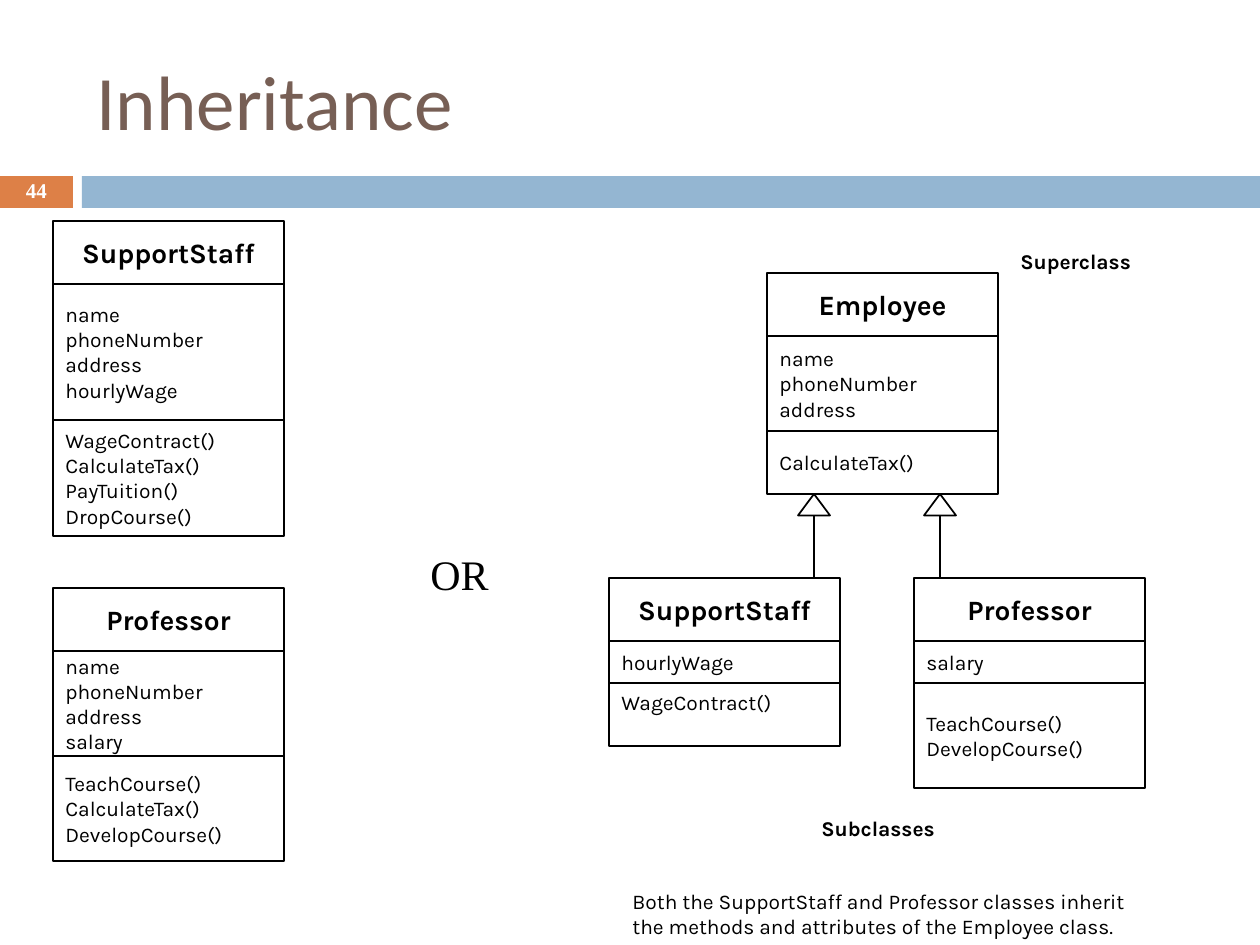
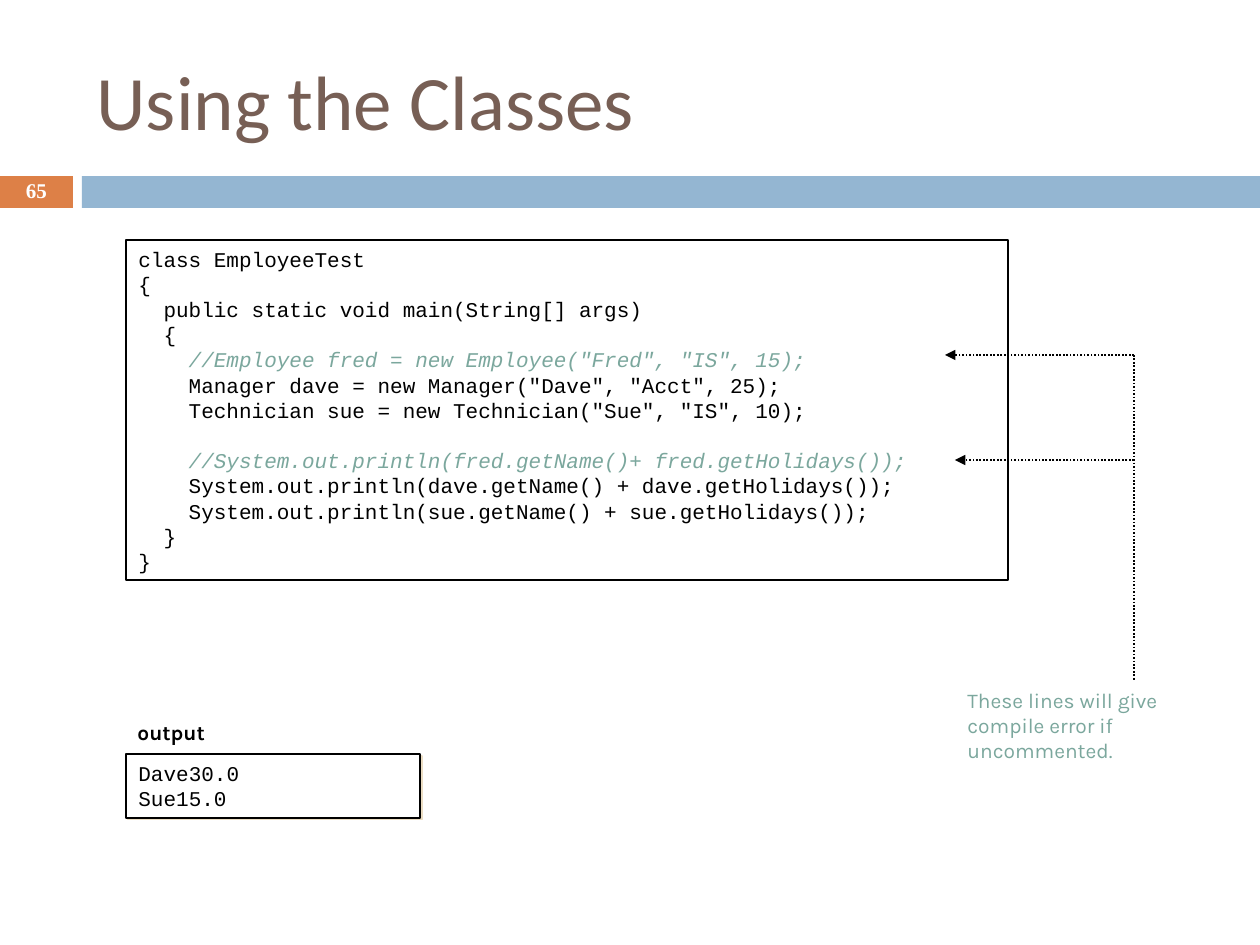
from lxml import etree
from pptx import Presentation
from pptx.dml.color import RGBColor
from pptx.enum.dml import MSO_LINE_DASH_STYLE as Dash
from pptx.enum.shapes import MSO_CONNECTOR as Connector, MSO_SHAPE as Preset
from pptx.enum.text import MSO_ANCHOR as Anchor, MSO_AUTO_SIZE as AutoSize, PP_ALIGN as Align
from pptx.oxml import parse_xml
from pptx.oxml.ns import nsdecls, qn
from pptx.util import Emu, Pt

PX_PER_INCH = 126
BLACK, WHITE = "000000", "FFFFFF"
BROWN, ORANGE, BLUE, GREEN, SAND = "775F55", "DD8047", "94B6D2", "7BA79D", "EBDDC3"
HEADING, BODY, CODE, SERIF = "Calibri", "Karla", "Courier New", "Times New Roman"
colour = RGBColor.from_string


def emu(*lengths):
    """Turn px lengths into EMU."""
    return [Emu(round(length * 914400 / PX_PER_INCH)) for length in lengths]


def add_box(page, place, text="", font=BODY, size=12, ink=BLACK, bold=False, align=Align.LEFT,
            anchor=Anchor.TOP, fill=None, line=None, preset=None):
    """Add a text box, or a preset shape when one is named."""
    if preset is None:
        box = page.shapes.add_textbox(*emu(*place))
    else:
        box = page.shapes.add_shape(preset, *emu(*place))
        box.shadow.inherit = False
        if fill:
            box.fill.solid()
            box.fill.fore_color.rgb = colour(fill)
        else:
            box.fill.background()
        if line:
            box.line.color.rgb = colour(line)
            box.line.width = Pt(1)
        else:
            box.line.fill.background()
    frame = box.text_frame
    frame.word_wrap = True
    frame.vertical_anchor = anchor
    if text:
        frame.text = text
    for para in frame.paragraphs:
        para.alignment = align
        for span in para.runs:
            span.font.name, span.font.size, span.font.bold = font, Pt(size), bold
            span.font.color.rgb = colour(ink)
    return box


deck = Presentation()
deck.slide_width, deck.slide_height = emu(1260, 945)
title_only = deck.slide_layouts[5]

# Title, bands and page number of every slide
pages = []
for heading, number in [("Inheritance", "44"), ("Using the Classes", "65")]:
    page = deck.slides.add_slide(title_only)
    add_box(page, (0, 176, 73, 32), fill=ORANGE, preset=Preset.RECTANGLE)
    add_box(page, (82, 176, 1178, 32), fill=BLUE, preset=Preset.RECTANGLE)
    title = page.shapes.title
    title.left, title.top, title.width, title.height = emu(84, 32, 1124, 136)
    title.text_frame.text = heading
    title.text_frame.auto_size = AutoSize.NONE
    title.text_frame.vertical_anchor = Anchor.MIDDLE
    para = title.text_frame.paragraphs[0]
    para.alignment = Align.LEFT
    para.font.name, para.font.size = HEADING, Pt(44)
    para.font.color.rgb = colour(BROWN)
    page_number = add_box(page, (0, 175, 73, 34), number, SERIF, 12, WHITE, True,
                          Align.CENTER, Anchor.MIDDLE)
    page_number.text_frame.paragraphs[0].line_spacing = 0.8
    pages.append(page)
inheritance, usage = pages

# Inheritance: class diagrams as (left, top, name, attributes, methods), each part with its height
CLASS_WIDTH, NAME_HEIGHT = 231, 63
classes = [
    (53, 221, "SupportStaff", ("name\nphoneNumber\naddress\nhourlyWage", 136),
     ("WageContract()\nCalculateTax()\nPayTuition()\nDropCourse()", 116)),
    (53, 588, "Professor", ("name\nphoneNumber\naddress\nsalary", 105),
     ("TeachCourse()\nCalculateTax()\nDevelopCourse()", 105)),
    (767, 273, "Employee", ("name\nphoneNumber\naddress", 95), ("CalculateTax()", 63)),
    (609, 578, "SupportStaff", ("hourlyWage", 42), ("WageContract()", 63)),
    (914, 578, "Professor", ("salary", 42), ("TeachCourse()\nDevelopCourse()", 105)),
]
for left, top, name, attributes, methods in classes:
    add_box(inheritance, (left, top, CLASS_WIDTH, NAME_HEIGHT), name, size=16, bold=True,
            align=Align.CENTER, anchor=Anchor.MIDDLE, fill=WHITE, line=BLACK,
            preset=Preset.RECTANGLE)
    top += NAME_HEIGHT
    for members, height in (attributes, methods):
        anchor = Anchor.TOP if members == "WageContract()" else Anchor.MIDDLE
        add_box(inheritance, (left, top, CLASS_WIDTH, height), members, anchor=anchor,
                fill=WHITE, line=BLACK, preset=Preset.RECTANGLE)
        top += height

for left in (798, 924):
    arrow = add_box(inheritance, (left, 494, 32, 84), fill=WHITE, line=BLACK,
                    preset=Preset.UP_ARROW)
    arrow.adjustments[0], arrow.adjustments[1] = 0, 0.67

add_box(inheritance, (418, 542, 90, 63), "OR", SERIF, 24)
add_box(inheritance, (1008, 242, 189, 38), "Superclass", bold=True)
add_box(inheritance, (809, 809, 189, 38), "Subclasses", bold=True)
add_box(inheritance, (620, 882, 535, 63),
        "Both the SupportStaff and Professor classes inherit "
        "the methods and attributes of the Employee class.")

# Using the Classes: code, its output and the remark on the commented lines
source_code = """class EmployeeTest
{
  public static void main(String[] args)
  {
    //Employee fred = new Employee("Fred", "IS", 15);
    Manager dave = new Manager("Dave", "Acct", 25);
    Technician sue = new Technician("Sue", "IS", 10);

    //System.out.println(fred.getName()+ fred.getHolidays());
    System.out.println(dave.getName() + dave.getHolidays());
    System.out.println(sue.getName() + sue.getHolidays());
  }
}"""
code_box = add_box(usage, (126, 240, 882, 340), source_code, CODE, line=BLACK,
                   preset=Preset.RECTANGLE)
for para in code_box.text_frame.paragraphs:
    if para.text.lstrip().startswith("//"):
        for span in para.runs:
            span.font.italic = True
            span.font.color.rgb = colour(GREEN)
    elif not para.text:
        para.font.name, para.font.size = CODE, Pt(12)

output_box = add_box(usage, (126, 754, 294, 64), "Dave30.0\nSue15.0", CODE, fill=WHITE,
                     line=BLACK, preset=Preset.RECTANGLE)
effects = output_box.element.spPr.find(qn("a:effectLst"))
effects.append(parse_xml(
    f'<a:outerShdw {nsdecls("a")} dist="17780" dir="2700000" algn="ctr" rotWithShape="0">'
    f'<a:srgbClr val="{SAND}"/></a:outerShdw>'))

add_box(usage, (125, 713, 110, 38), "output", bold=True)
add_box(usage, (955, 681, 223, 88), "These lines will give compile error if uncommented.",
        ink=GREEN)

for end_x, start_y, end_y, has_head in [(945, 355, 355, True), (955, 460, 460, True),
                                        (1134, 355, 681, False)]:
    pointer = usage.shapes.add_connector(Connector.STRAIGHT, *emu(1134, start_y, end_x, end_y))
    pointer.line.color.rgb = colour(BLACK)
    pointer.line.width = Pt(1)
    pointer.line.dash_style = Dash.ROUND_DOT
    if has_head:
        etree.SubElement(pointer.line._get_or_add_ln(), qn("a:tailEnd"), type="triangle")
    etree.SubElement(pointer.element.spPr, qn("a:effectLst"))

deck.save("out.pptx")
